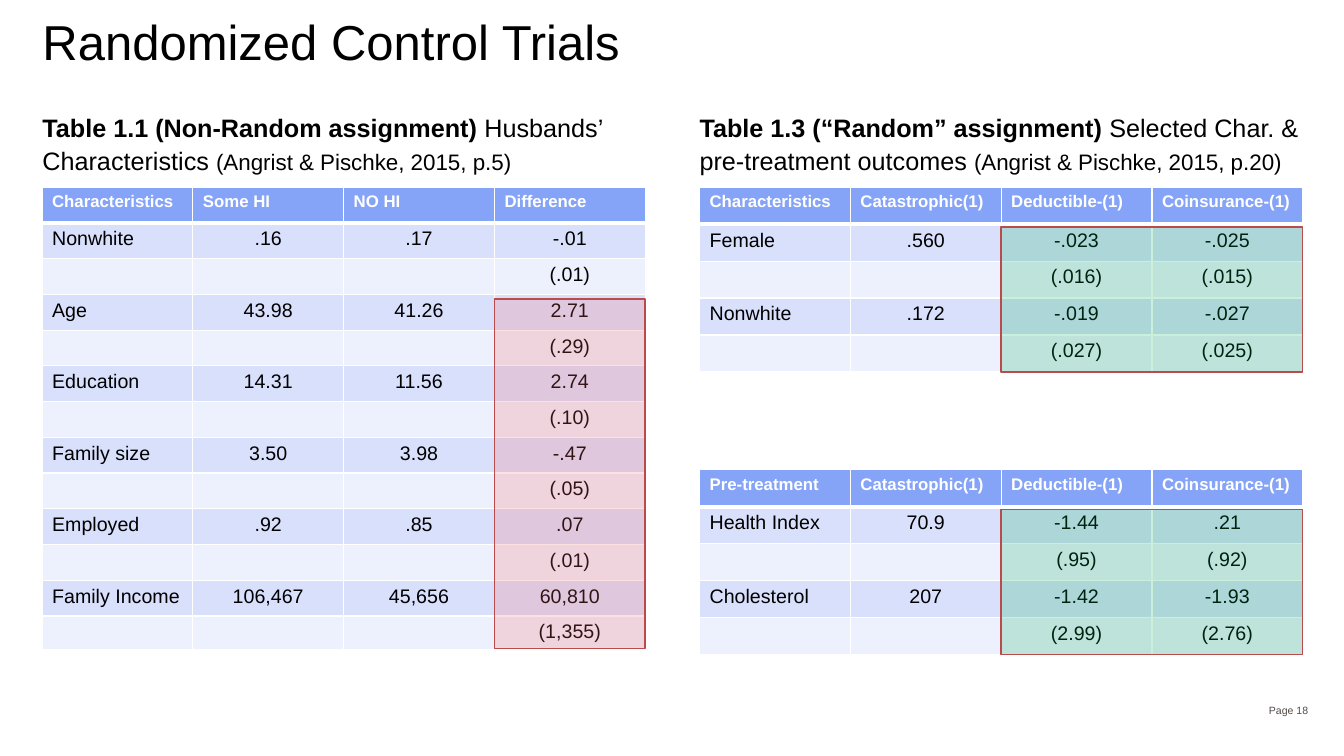
from dataclasses import dataclass

from lxml import etree
from pptx import Presentation
from pptx.dml.color import RGBColor
from pptx.enum.shapes import MSO_SHAPE
from pptx.enum.text import MSO_ANCHOR, PP_ALIGN
from pptx.oxml.ns import qn
from pptx.util import Cm, Pt

RECT = MSO_SHAPE.RECTANGLE
LEFT, CENTER, RIGHT = PP_ALIGN.LEFT, PP_ALIGN.CENTER, PP_ALIGN.RIGHT
TOP, MIDDLE = MSO_ANCHOR.TOP, MSO_ANCHOR.MIDDLE

FONT = "Arial"
WHITE, BLACK, GRAY = "FFFFFF", "000000", "524B48"
HEAD, BAND, PALE = "86A4F7", "D9E0FC", "EDF0FD"
RED, GREEN, EDGE = "FB6666", "00B050", "BA4B4B"
COL = 3.8
LEFT_X, RIGHT_X = 1.06, 17.63
TABLE_Y = 4.72


@dataclass
class Run:
    text: str
    size: float
    bold: bool = False
    color: str = BLACK


@dataclass
class Label:
    box: tuple[float, float, float, float]
    runs: list[Run]
    space: float = 1.0
    inset: float = 0
    align: PP_ALIGN = LEFT
    anchor: MSO_ANCHOR = TOP


@dataclass
class Mark:
    """Tinted box over the last columns of a table."""
    cols: int
    drop: float
    height: float
    color: str


@dataclass
class Panel:
    left: float
    top: float
    heights: list[float]
    rows: list[list[str]]
    mark: Mark


def rgb(code: str) -> RGBColor:
    return RGBColor.from_string(code)


def add_run(para, run: Run) -> None:
    part = para.add_run()
    part.text = run.text
    style = {"name": FONT, "size": Pt(run.size), "bold": run.bold}
    for key, value in style.items():
        setattr(part.font, key, value)
    part.font.color.rgb = rgb(run.color)


def add_label(slide, label: Label) -> None:
    frame = slide.shapes.add_textbox(*map(Cm, label.box)).text_frame
    style = {"word_wrap": True, "vertical_anchor": label.anchor}
    for side in ("left", "top", "right", "bottom"):
        style[f"margin_{side}"] = Cm(label.inset)
    for key, value in style.items():
        setattr(frame, key, value)
    para = frame.paragraphs[0]
    para.alignment = label.align
    para.line_spacing = label.space
    for run in label.runs:
        add_run(para, run)


def add_edges(cell, row: int) -> None:
    """Draw white cell borders, thick between header and body."""
    widths = {"L": 1, "R": 1, "T": 3 if row == 1 else 1, "B": 3 if row == 0 else 1}
    props = cell._tc.get_or_add_tcPr()
    for spot, (side, width) in enumerate(widths.items()):
        line = etree.Element(qn(f"a:ln{side}"), w=str(Pt(width)))
        fill = etree.SubElement(line, qn("a:solidFill"))
        etree.SubElement(fill, qn("a:srgbClr"), val=WHITE)
        props.insert(spot, line)


def fill_cell(cell, text: str, row: int, col: int) -> None:
    cell.fill.solid()
    cell.fill.fore_color.rgb = rgb(HEAD if row == 0 else BAND if row % 2 else PALE)
    add_edges(cell, row)
    para = cell.text_frame.paragraphs[0]
    para.alignment = CENTER if row and col else LEFT
    if text:
        add_run(para, Run(text, 14) if row else Run(text, 12, True, WHITE))
    else:
        etree.SubElement(para._p, qn("a:endParaRPr"), sz="1400")


def add_mark(slide, panel: Panel) -> None:
    mark, count = panel.mark, len(panel.rows[0])
    box = (panel.left + (count - mark.cols) * COL, panel.top + mark.drop,
           mark.cols * COL, mark.height)
    shape = slide.shapes.add_shape(RECT, *map(Cm, box))
    shape.shadow.inherit = False
    shape.fill.solid()
    shape.fill.fore_color.rgb = rgb(mark.color)
    tint = shape._element.spPr.find(f"{qn('a:solidFill')}/{qn('a:srgbClr')}")
    etree.SubElement(tint, qn("a:alpha"), val="20000")
    shape.line.color.rgb = rgb(EDGE)
    shape.line.width = Pt(1)


def add_panel(slide, panel: Panel) -> None:
    count = len(panel.rows[0])
    box = (panel.left, panel.top, count * COL, sum(panel.heights))
    table = slide.shapes.add_table(len(panel.rows), count, *map(Cm, box)).table
    for col in table.columns:
        col.width = Cm(COL)
    for row, (height, texts) in enumerate(zip(panel.heights, panel.rows)):
        table.rows[row].height = Cm(height)
        for col, text in enumerate(texts):
            fill_cell(table.cell(row, col), text, row, col)
    add_mark(slide, panel)


def caption(left: float, name: str, topic: str, cite: str) -> Label:
    runs = [Run(name, 18, True), Run(topic, 18), Run(cite, 16)]
    return Label((left, 2.79, 15.19, 1.37), runs, space=1.07)


def trial(top: float, first: str, body: list[list[str]]) -> Panel:
    head = [first, "Catastrophic(1)", "Deductible-(1)", "Coinsurance-(1)"]
    return Panel(RIGHT_X, top, [0.93] * 5, [head] + body, Mark(2, 1, 3.66, GREEN))


LABELS = [
    Label((1.07, 0.46, 31.75, 2.08), [Run("Randomized Control Trials", 35)], space=0.9),
    caption(1.07, "Table 1.1 (Non-Random assignment) ", "Husbands’ Characteristics ",
            "(Angrist & Pischke, 2015, p.5)"),
    caption(RIGHT_X, "Table 1.3 (“Random” assignment) ",
            "Selected Char. & pre-treatment outcomes ",
            "(Angrist & Pischke, 2015, p.20)"),
    Label((31.29, 17.4, 1.68, 1.02), [Run("Page 18", 7.5, color=GRAY)],
          inset=0.0, align=RIGHT, anchor=MIDDLE),
]
LABELS[-1].box = (31.04, 17.4, 1.93, 1.02)

PANELS = [
    Panel(LEFT_X, TABLE_Y, [0.9] * 12 + [0.82], [
        ["Characteristics", "Some HI", "NO HI", "Difference"],
        ["Nonwhite", ".16", ".17", "-.01"],
        ["", "", "", "(.01)"],
        ["Age", "43.98", "41.26", "2.71"],
        ["", "", "", "(.29)"],
        ["Education", "14.31", "11.56", "2.74"],
        ["", "", "", "(.10)"],
        ["Family size", "3.50", "3.98", "-.47"],
        ["", "", "", "(.05)"],
        ["Employed", ".92", ".85", ".07"],
        ["", "", "", "(.01)"],
        ["Family Income", "106,467", "45,656", "60,810"],
        ["", "", "", "(1,355)"],
    ], Mark(1, 2.82, 8.8, RED)),
    trial(TABLE_Y, "Characteristics", [
        ["Female", ".560", "-.023", "-.025"],
        ["", "", "(.016)", "(.015)"],
        ["Nonwhite", ".172", "-.019", "-.027"],
        ["", "", "(.027)", "(.025)"],
    ]),
    trial(11.84, "Pre-treatment", [
        ["Health Index", "70.9", "-1.44", ".21"],
        ["", "", "(.95)", "(.92)"],
        ["Cholesterol", "207", "-1.42", "-1.93"],
        ["", "", "(2.99)", "(2.76)"],
    ]),
]


def main() -> None:
    deck = Presentation()
    deck.slide_width, deck.slide_height = Cm(33.87), Cm(19.05)
    slide = deck.slides.add_slide(deck.slide_layouts[6])
    for label in LABELS:
        add_label(slide, label)
    for panel in PANELS:
        add_panel(slide, panel)
    deck.save("out.pptx")


if __name__ == "__main__":
    main()
